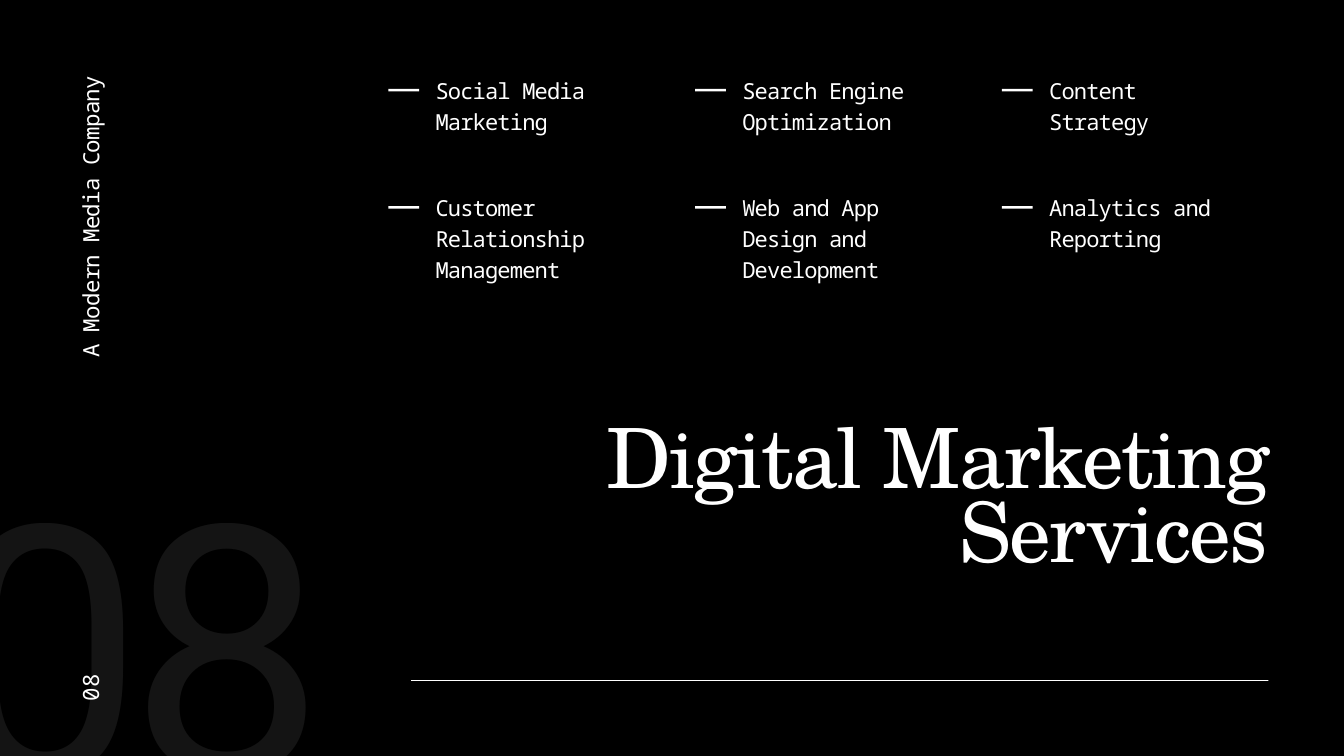
from lxml.etree import SubElement
from pptx import Presentation
from pptx.dml.color import RGBColor
from pptx.enum.shapes import MSO_SHAPE
from pptx.enum.text import MSO_AUTO_SIZE, PP_ALIGN
from pptx.oxml.ns import qn
from pptx.util import Pt

BLACK = RGBColor(0, 0, 0)
WHITE = RGBColor(255, 255, 255)
MONO = "Noto Sans Mono"


def add_text(shapes, box, lines, font, size, leading, tracking,
             align=PP_ALIGN.LEFT, rotation=0, opacity=100):
    label = shapes.add_textbox(*[Pt(n) for n in box])
    label.rotation = rotation
    frame = label.text_frame
    frame.word_wrap = True
    frame.auto_size = MSO_AUTO_SIZE.SHAPE_TO_FIT_TEXT
    frame.margin_left = frame.margin_right = 0
    frame.margin_top = frame.margin_bottom = 0
    for index, line in enumerate(lines):
        paragraph = frame.add_paragraph() if index else frame.paragraphs[0]
        paragraph.alignment = align
        paragraph.line_spacing = Pt(leading)
        run = paragraph.add_run()
        run.text = line
        run.font.name = font
        run.font.size = Pt(size)
        run.font.color.rgb = WHITE
        properties = run.font._element
        properties.set("spc", str(round(tracking * 100)))
        if opacity < 100:
            color = properties.find(".//" + qn("a:srgbClr"))
            SubElement(color, qn("a:alpha"), val=str(opacity * 1000))


def add_bar(shapes, box, color, opacity=100):
    bar = shapes.add_shape(MSO_SHAPE.RECTANGLE, *[Pt(n) for n in box])
    bar.shadow.inherit = False
    bar.fill.solid()
    bar.fill.fore_color.rgb = color
    bar.line.fill.background()
    if opacity < 100:
        fill = bar._element.spPr.find(".//" + qn("a:srgbClr"))
        SubElement(fill, qn("a:alpha"), val=str(opacity * 1000))


presentation = Presentation()
presentation.slide_width = Pt(1440)
presentation.slide_height = Pt(810)
slide = presentation.slides.add_slide(presentation.slide_layouts[6])
slide.background.fill.solid()
slide.background.fill.fore_color.rgb = BLACK

add_text(slide.shapes, (-56, 475, 513.5, 431.5), ["08"], "Roboto", 373.4, 429.4, -14.9,
         opacity=8)
add_bar(slide.shapes, (0, 0, 1440, 526.5), BLACK, opacity=85)
add_text(slide.shapes, (-88, 247, 363, 31.5), ["A Modern Media Company"], MONO, 24, 33.6, -0.7,
         align=PP_ALIGN.RIGHT, rotation=270)
add_text(slide.shapes, (72.7, 715, 44, 30), ["08"], MONO, 24, 31.2, 1.3, rotation=270)

service_rows = [
    (63.5, [["Social Media Marketing"], ["Search Engine Optimization"], ["Content", "Strategy"]]),
    (96, [["Customer Relationship Management"], ["Web and App Design and Development"],
          ["Analytics and Reporting"]]),
]
for row, (height, services) in enumerate(service_rows):
    top = 78.2 + row * 125.7
    for column, service in enumerate(services):
        left = 416 + column * 328.75
        group = slide.shapes.add_group_shape()
        add_bar(group.shapes, (left, top + 17, 33, 2.75), WHITE)
        add_text(group.shapes, (left + 50.6, top, 234.5, height if column < 2 else 63.5),
                 service, MONO, 23.7, 33.1, -0.9)

add_text(slide.shapes, (638.5, 462.5, 720, 164), ["Digital Marketing Services"],
         "TeX Gyre Schola", 89, 79.2, -1.8, align=PP_ALIGN.RIGHT)
add_bar(slide.shapes, (440.5, 728.75, 918.5, 0.75), WHITE)

presentation.save("out.pptx")
